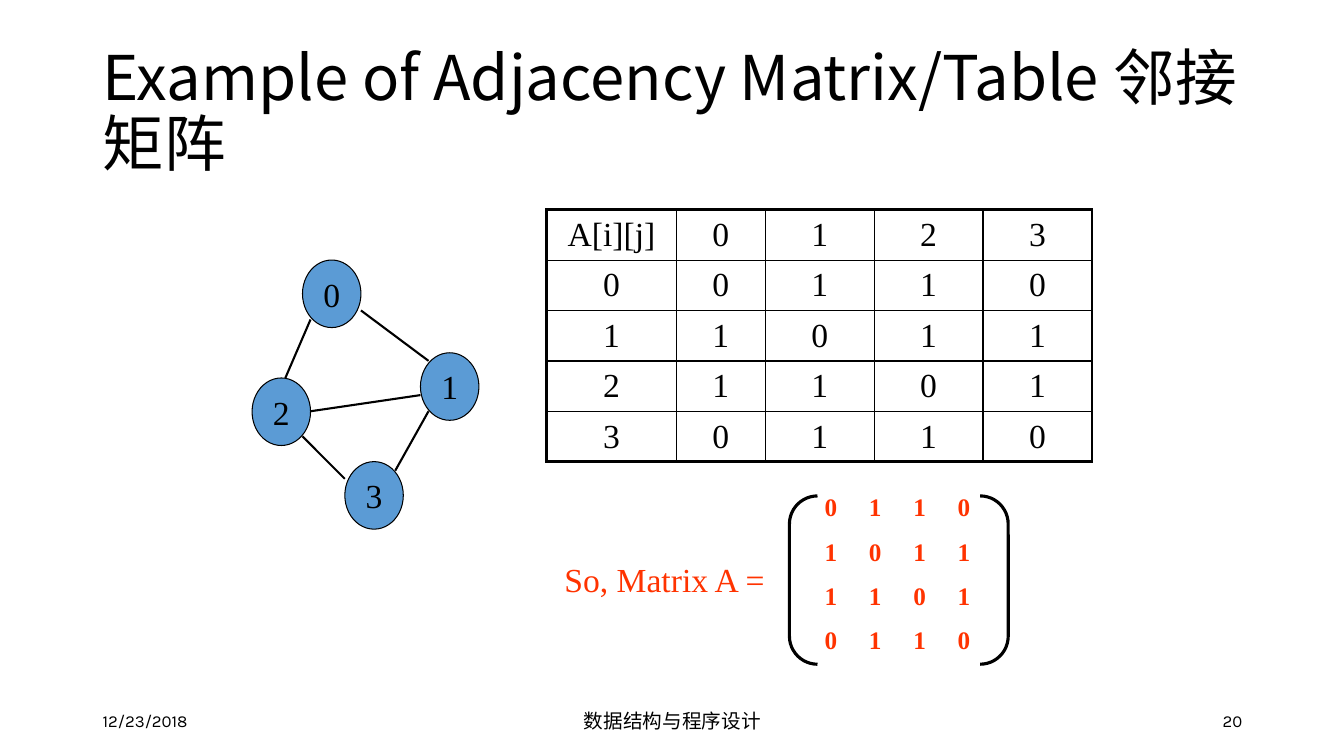
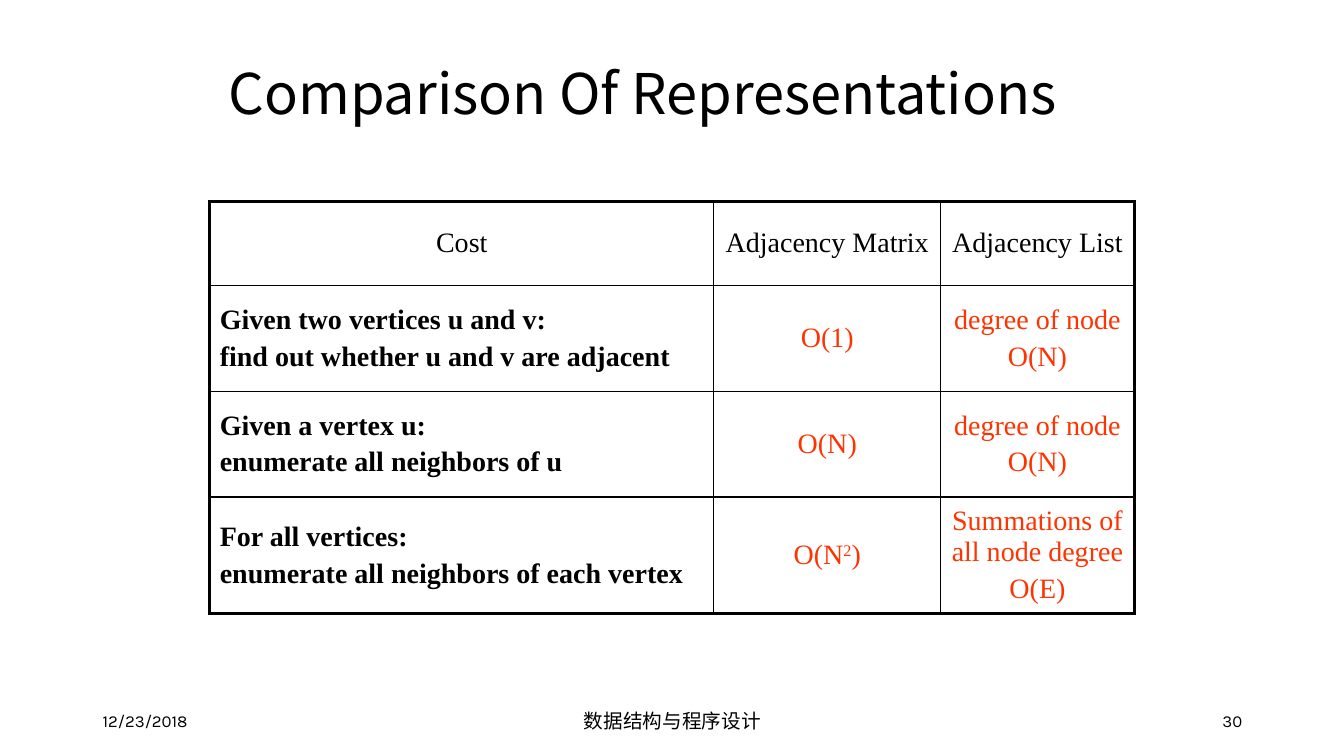
from lxml import etree
from pptx import Presentation
from pptx.dml.color import RGBColor
from pptx.enum.shapes import MSO_CONNECTOR, MSO_SHAPE
from pptx.enum.text import MSO_ANCHOR, PP_ALIGN
from pptx.oxml.ns import qn
from pptx.util import Inches, Pt

BLACK = RGBColor(0x00, 0x00, 0x00)
RED = RGBColor(0xFF, 0x33, 0x00)
BLUE = RGBColor(0x5B, 0x9B, 0xD5)

TITLE_FONT = "Noto Sans CJK SC"
FOOTER_FONT = "Karla"
BODY_FONT = "Times New Roman"

OUTER, INNER = Pt(2.25), Pt(1)
NODE_W, NODE_H = 0.58, 0.67

NODES = {"0": (3, 2.58), "1": (4.17, 3.5), "2": (2.5, 3.75), "3": (3.42, 4.58)}
EDGES = [
    ((3.08, 3.17), (2.83, 3.75)),
    ((3, 4.33), (3.42, 4.75)),
    ((3.08, 4.08), (4.17, 3.92)),
    ((3.58, 3.08), (4.25, 3.58)),
    ((4.25, 4.08), (3.92, 4.67)),
]
MATRIX = ["0110", "1011", "1101", "0110"]
COSTS = [
    ["Cost", "Adjacency Matrix", "Adjacency List"],
    ["Given two vertices u and v:\nfind out whether u and v are adjacent",
     "O(1)", "degree of node\nO(N)"],
    ["Given a vertex u:\nenumerate all neighbors of u",
     "O(N)", "degree of node\nO(N)"],
    ["For all vertices:\nenumerate all neighbors of each vertex",
     "O(N^2^)", "Summations of all node degree\nO(E)"],
]


def add_runs(p, text):
    """Write text into p; parts between ^ marks are superscript."""
    for i, part in enumerate(text.split("^")):
        r = p.add_run()
        r.text = part
        if i % 2:
            r._r.get_or_add_rPr().set("baseline", "30000")


def add_tabs(p, positions):
    tabs = etree.SubElement(p._p.get_or_add_pPr(), qn("a:tabLst"))
    for pos in positions:
        etree.SubElement(tabs, qn("a:tab"), pos=str(Inches(pos)), algn="l")


def write(tf, text, font, size, color=BLACK, bold=False, align=PP_ALIGN.LEFT,
          gap=0, spacing=None, tabs=()):
    """Fill tf with one paragraph per line, gap points apart."""
    for i, line in enumerate(text.split("\n")):
        p = tf.add_paragraph() if i else tf.paragraphs[0]
        add_runs(p, line)
        p.alignment = align
        if i and gap:
            p.space_before = Pt(gap)
        if spacing:
            p.line_spacing = spacing
        if tabs:
            add_tabs(p, tabs)
        p.font.name, p.font.size, p.font.bold = font, Pt(size), bold
        p.font.color.rgb = color


def add_text(slide, box, text, font, size, anchor=MSO_ANCHOR.TOP, **style):
    tf = slide.shapes.add_textbox(*map(Inches, box)).text_frame
    tf.word_wrap = True
    tf.vertical_anchor = anchor
    write(tf, text, font, size, **style)


def add_page(prs, title, title_box, title_size, number):
    """Add a slide with its title and footer."""
    slide = prs.slides.add_slide(prs.slide_layouts[6])
    add_text(slide, title_box, title, TITLE_FONT, title_size,
             MSO_ANCHOR.MIDDLE, spacing=0.9)
    for left, width, text, size, align in [
        (0.92, 3, "12/23/2018", 12, PP_ALIGN.LEFT),
        (4.42, 4.5, "数据结构与程序设计", 14, PP_ALIGN.CENTER),
        (9.42, 3, str(number), 12, PP_ALIGN.RIGHT),
    ]:
        add_text(slide, (left, 6.95, width, 0.4), text, FOOTER_FONT, size,
                 MSO_ANCHOR.MIDDLE, align=align)
    return slide


def add_outlined(slide, kind, box, line_width):
    sp = slide.shapes.add_shape(kind, *map(Inches, box))
    sp.shadow.inherit = False
    sp.line.color.rgb = BLACK
    sp.line.width = Pt(line_width)
    return sp


def add_node(slide, label, left, top):
    sp = add_outlined(slide, MSO_SHAPE.OVAL, (left, top, NODE_W, NODE_H), 0.75)
    sp.fill.solid()
    sp.fill.fore_color.rgb = BLUE
    tf = sp.text_frame
    tf.word_wrap = False
    tf.vertical_anchor = MSO_ANCHOR.MIDDLE
    write(tf, label, BODY_FONT, 24, align=PP_ALIGN.CENTER)


def add_edge(slide, start, end):
    line = slide.shapes.add_connector(MSO_CONNECTOR.STRAIGHT,
                                      *map(Inches, start + end))
    line.line.color.rgb = BLACK
    line.line.width = Pt(1.5)
    etree.SubElement(line._element.spPr, qn("a:effectLst"))


def set_borders(cell, widths):
    """Draw the left, right, top and bottom borders of a cell."""
    tcPr = cell._tc.get_or_add_tcPr()
    for i, (side, width) in enumerate(zip("LRTB", widths)):
        ln = etree.Element(qn(f"a:ln{side}"), w=str(width))
        fill = etree.SubElement(ln, qn("a:solidFill"))
        etree.SubElement(fill, qn("a:srgbClr"), val=str(BLACK))
        tcPr.insert(i, ln)


def add_grid(slide, left, top, widths, heights, rows, size, style_of):
    """Add a ruled table; style_of(row, column) gives each cell's text style."""
    box = (left, top, sum(widths), sum(heights))
    table = slide.shapes.add_table(len(rows), len(widths),
                                   *map(Inches, box)).table
    table.first_row = table.horz_banding = False
    for column, width in zip(table.columns, widths):
        column.width = Inches(width)
    last_row, last_col = len(rows) - 1, len(widths) - 1
    for i, row in enumerate(rows):
        table.rows[i].height = Inches(heights[i])
        for j, text in enumerate(row):
            cell = table.cell(i, j)
            cell.fill.background()
            cell.vertical_anchor = MSO_ANCHOR.MIDDLE
            write(cell.text_frame, text, BODY_FONT, size, gap=size * 0.2,
                  **style_of(i, j))
            on_edge = (j == 0, j == last_col, i == 0, i == last_row)
            set_borders(cell, [OUTER if edge else INNER for edge in on_edge])


def centred(row, column):
    return {"align": PP_ALIGN.CENTER}


def cost_style(row, column):
    if row == 0:
        return centred(row, column)
    if column == 0:
        return {"bold": True}
    return {"align": PP_ALIGN.CENTER, "color": RED}


def add_matrix(slide):
    add_text(slide, (5.5, 5.5, 2.42, 0.5), "So, Matrix A =", BODY_FONT, 24,
             color=RED)
    bracket = add_outlined(slide, MSO_SHAPE.DOUBLE_BRACKET,
                           (7.83, 4.92, 2.17, 1.67), 2.25)
    bracket.fill.background()
    add_text(slide, (8.08, 4.83, 1.83, 1.76),
             "\n".join("\t".join(row) for row in MATRIX), BODY_FONT, 18,
             color=RED, bold=True, gap=10,
             tabs=[0.44 * n for n in range(1, 4)])


def add_adjacency_slide(prs):
    slide = add_page(prs, "Example of Adjacency Matrix/Table 邻接矩阵",
                     (0.92, 0.4, 11.5, 1.45), 44, 20)
    for label, (left, top) in NODES.items():
        add_node(slide, label, left, top)
    for start, end in EDGES:
        add_edge(slide, start, end)
    rows = [["A[i][j]", *NODES]]
    rows += [[label, *values] for label, values in zip(NODES, MATRIX)]
    add_grid(slide, 5.42, 2.08, [1.29, 0.88] + [1.08] * 3, [0.47] * 5, rows,
             24, centred)
    add_matrix(slide)


def add_comparison_slide(prs):
    slide = add_page(prs, "Comparison Of Representations",
                     (2.17, 0.33, 9.17, 1.25), 40, 30)
    add_grid(slide, 2.08, 2, [5, 2.25, 1.92], [0.83, 1.05, 1.05, 1.1], COSTS,
             20, cost_style)


def main():
    prs = Presentation()
    prs.slide_width, prs.slide_height = Inches(13.33), Inches(7.5)
    add_adjacency_slide(prs)
    add_comparison_slide(prs)
    prs.save("out.pptx")


if __name__ == "__main__":
    main()
